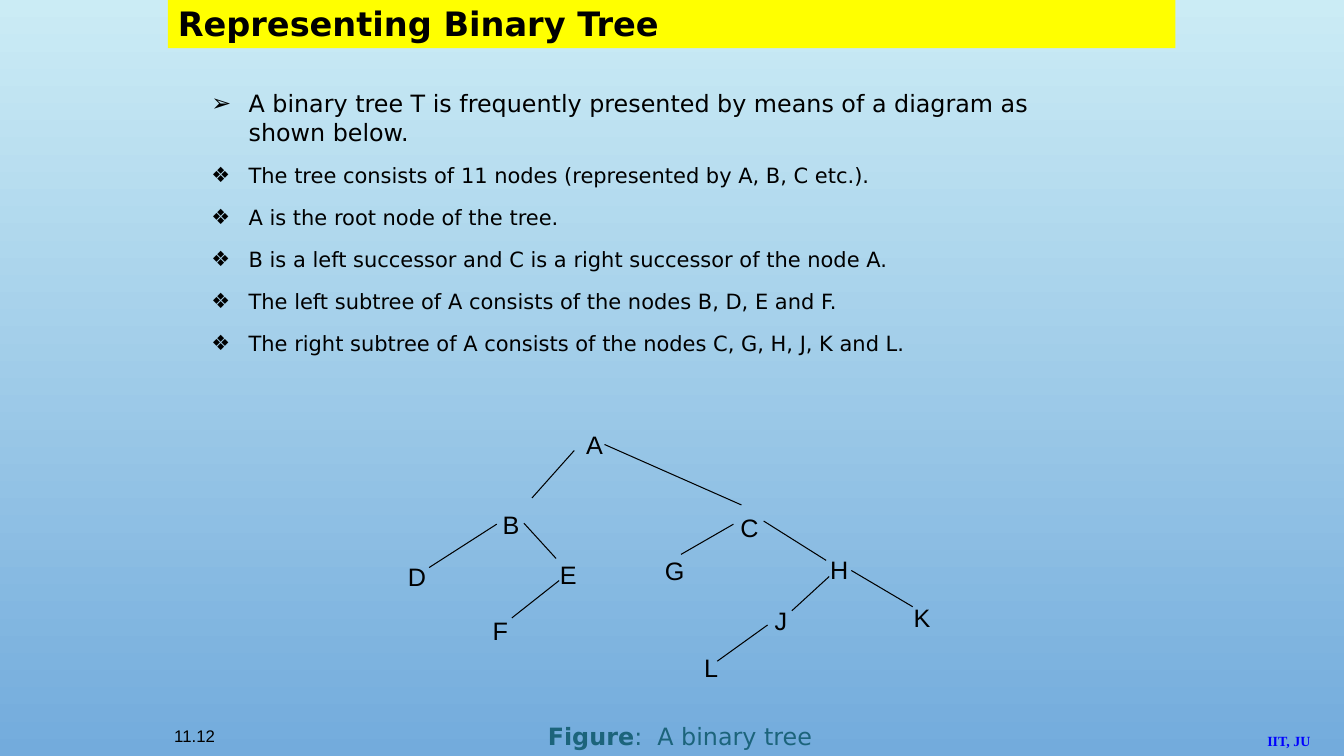
from lxml.etree import SubElement
from pptx import Presentation
from pptx.dml.color import RGBColor
from pptx.enum.shapes import MSO_CONNECTOR as Connector, MSO_SHAPE as Preset
from pptx.enum.text import MSO_ANCHOR as Anchor, PP_ALIGN as Align
from pptx.oxml.ns import qn
from pptx.util import Pt

SANS, ARIAL, SERIF = "DejaVu Sans", "Arial", "Times New Roman"
BLACK, YELLOW, BLUE, TEAL = "000000", "FFFF00", "0000FF", "1C647B"
SKY = ("CBECF5", "73ABDC")
NODE_SIZE = (27.4, 28.8)

POINTS = [
    ("➢", 17, "A binary tree T is frequently presented by means of a diagram as shown below."),
    ("❖", 15, "The tree consists of 11 nodes (represented by A, B, C etc.)."),
    ("❖", 15, "A is the root node of the tree."),
    ("❖", 15, "B is a left successor and C is a right successor of the node A."),
    ("❖", 15, "The left subtree of A consists of the nodes B, D, E and F."),
    ("❖", 15, "The right subtree of A consists of the nodes C, G, H, J, K and L."),
]
NODES = {
    "A": (411.8, 303.1),
    "B": (352.1, 360),
    "C": (522, 362.2),
    "D": (284.4, 397.4),
    "E": (393.1, 396),
    "F": (344.9, 436.3),
    "G": (468, 393.1),
    "H": (586.1, 392.4),
    "J": (546.5, 429.1),
    "K": (645.8, 427),
    "L": (496.1, 462.2),
}
EDGES = {
    "AB": (410.4, 321.8, 380.2, 355.7),
    "AC": (432, 317.5, 529.9, 360.7),
    "BD": (355, 374.4, 306.7, 405.4),
    "BE": (374.4, 373.7, 397.4, 398.9),
    "EF": (399.6, 414.7, 365.8, 441.4),
    "CG": (524.2, 374.4, 486.7, 396),
    "CH": (545.8, 372.2, 590.4, 400.3),
    "HJ": (592.6, 411.8, 565.9, 436.3),
    "JL": (548.6, 446.4, 512.6, 472.3),
    "HK": (608.4, 407.5, 652.3, 433.4),
}


def color(value):
    """Turn a hex string into a colour."""
    return RGBColor.from_string(value)


def add_span(para, text, size, font, tint=BLACK, bold=False):
    """Add one formatted run to a paragraph."""
    span = para.add_run()
    span.text = text
    span.font.size = Pt(size)
    span.font.name = font
    span.font.bold = bold
    span.font.color.rgb = color(tint)


def add_box(shapes, left, top, width, height, anchor=Anchor.TOP):
    """Add a wrapping text box and return its text frame."""
    box = shapes.add_textbox(Pt(left), Pt(top), Pt(width), Pt(height))
    box.text_frame.word_wrap = True
    box.text_frame.vertical_anchor = anchor
    return box.text_frame


def add_bullet(para, symbol, indent):
    """Give a paragraph a black bullet and a hanging indent."""
    props = para._p.get_or_add_pPr()
    props.set("marL", str(Pt(indent)))
    props.set("indent", str(-Pt(indent)))
    tint = SubElement(props, qn("a:buClr"))
    SubElement(tint, qn("a:srgbClr"), val=BLACK)
    SubElement(props, qn("a:buFont"), typeface=SANS)
    SubElement(props, qn("a:buChar"), char=symbol)


def add_title(shapes, text):
    """Add the yellow title bar."""
    bar = shapes.add_shape(Preset.RECTANGLE, Pt(120), Pt(-1.6), Pt(720), Pt(36))
    bar.shadow.inherit = False
    bar.fill.solid()
    bar.fill.fore_color.rgb = color(YELLOW)
    bar.line.fill.background()
    bar.text_frame.word_wrap = True
    bar.text_frame.vertical_anchor = Anchor.TOP
    para = bar.text_frame.paragraphs[0]
    para.alignment = Align.LEFT
    add_span(para, text, 24, SANS, bold=True)


def add_points(shapes):
    """Add the bulleted statements about the tree."""
    frame = add_box(shapes, 144, 59.8, 658, 198)
    for index, (symbol, size, text) in enumerate(POINTS):
        para = frame.add_paragraph() if index else frame.paragraphs[0]
        para.space_before = Pt(6 if index else 0)
        para.space_after = Pt(6)
        add_bullet(para, symbol, 26.6)
        add_span(para, text, size, SANS)


def add_edge(shapes, x1, y1, x2, y2):
    """Add a thin black line between two nodes."""
    edge = shapes.add_connector(Connector.STRAIGHT, Pt(x1), Pt(y1), Pt(x2), Pt(y2))
    edge.line.color.rgb = color(BLACK)
    edge.line.width = Pt(0.75)
    SubElement(edge._element.spPr, qn("a:effectLst"))


def add_tree(shapes):
    """Add the grouped tree diagram."""
    tree = shapes.add_group_shape()
    for ends in EDGES.values():
        add_edge(tree.shapes, *ends)
    for name, place in NODES.items():
        frame = add_box(tree.shapes, *place, *NODE_SIZE)
        add_span(frame.paragraphs[0], name, 18, ARIAL)


def add_footer(shapes):
    """Add the page number, figure caption and institute mark."""
    number = add_box(shapes, 117.4, 510.5, 66.2, 29.5, Anchor.MIDDLE)
    add_span(number.paragraphs[0], "11.12", 12, ARIAL)
    caption = add_box(shapes, 357.1, 511.9, 257.8, 28.1).paragraphs[0]
    caption.alignment = Align.CENTER
    add_span(caption, "Figure", 17, SANS, TEAL, bold=True)
    add_span(caption, ":  A binary tree", 17, SANS, TEAL)
    mark = add_box(shapes, 898.6, 519.8, 87.8, 19.4)
    add_span(mark.paragraphs[0], "IIT, JU", 10, SERIF, BLUE, bold=True)


def paint_background(page):
    """Fill the page with a top-to-bottom gradient."""
    fill = page.background.fill
    fill.gradient()
    fill.gradient_angle = 270
    for stop, tint in zip(fill.gradient_stops, SKY):
        stop.color.rgb = color(tint)


def main():
    """Build the slide and save the deck."""
    deck = Presentation()
    deck.slide_width, deck.slide_height = Pt(960.48), Pt(540)
    page = deck.slides.add_slide(deck.slide_layouts[6])
    paint_background(page)
    add_points(page.shapes)
    add_title(page.shapes, "Representing Binary Tree")
    add_tree(page.shapes)
    add_footer(page.shapes)
    deck.save("out.pptx")


if __name__ == "__main__":
    main()
